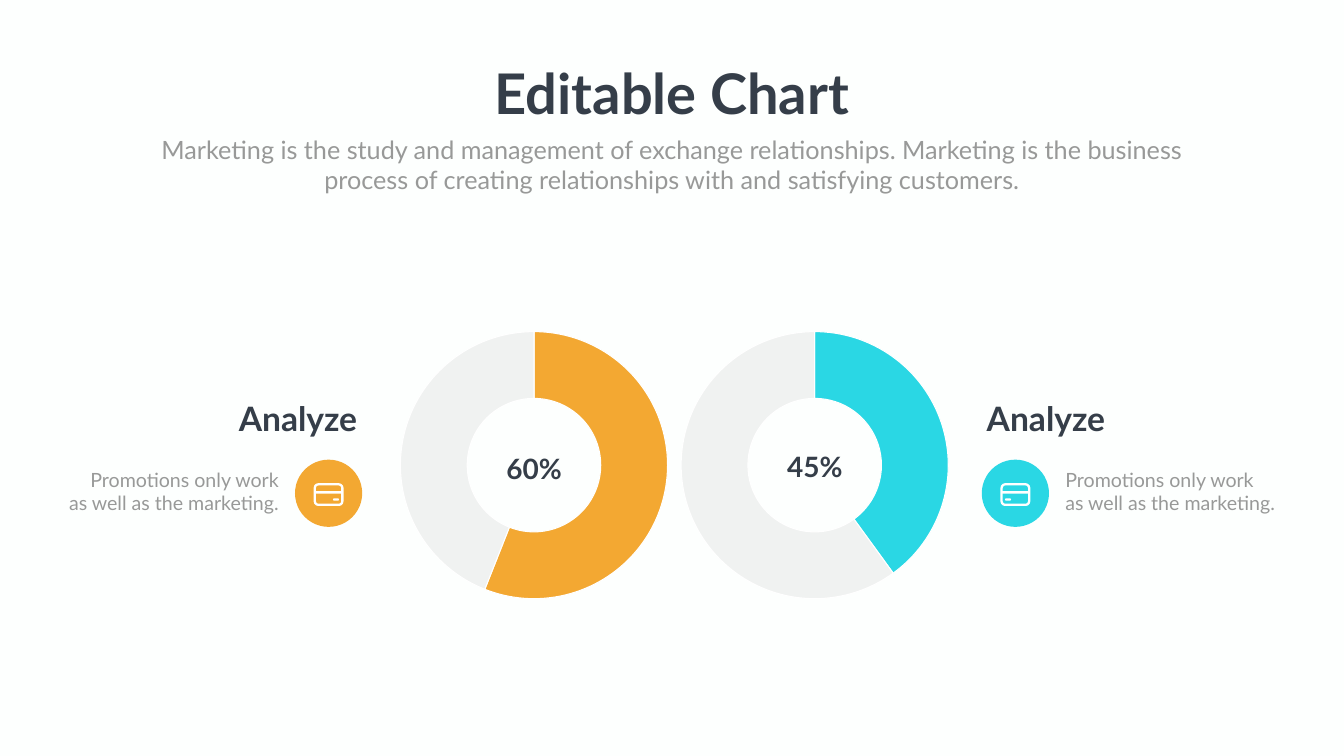
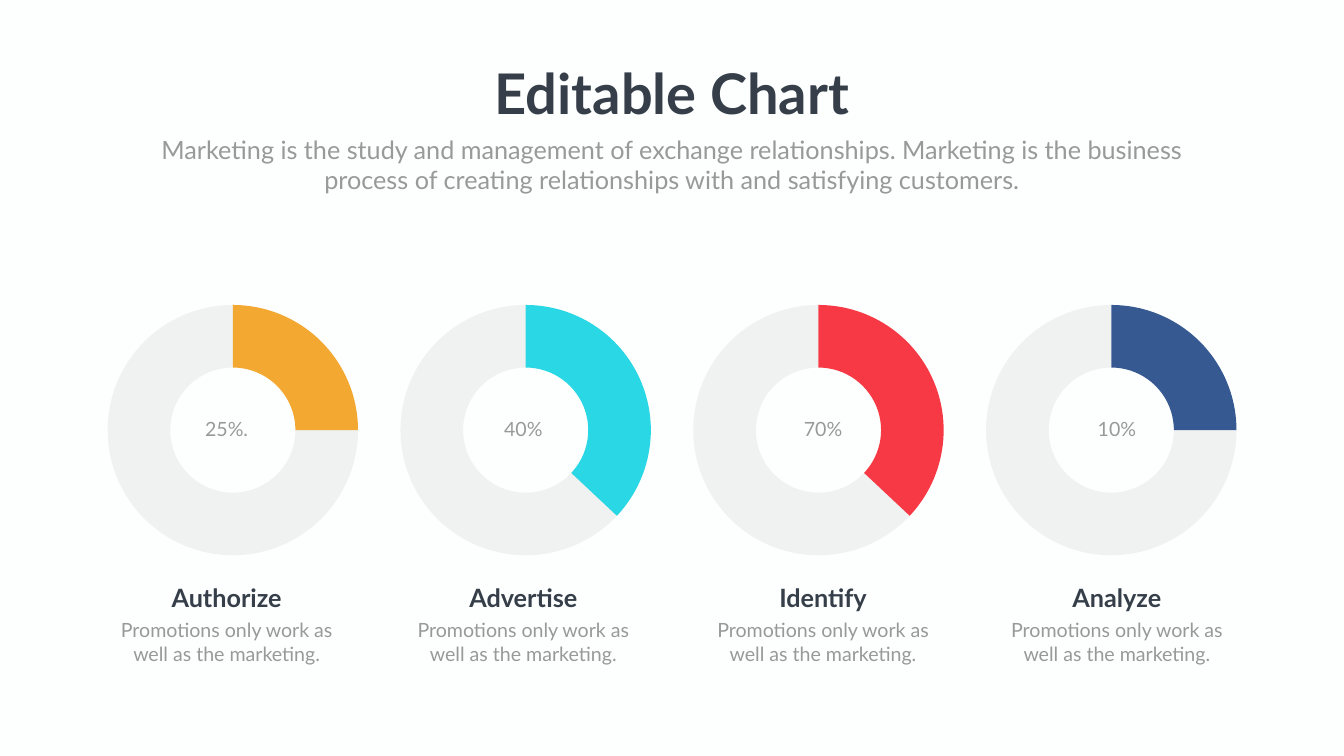
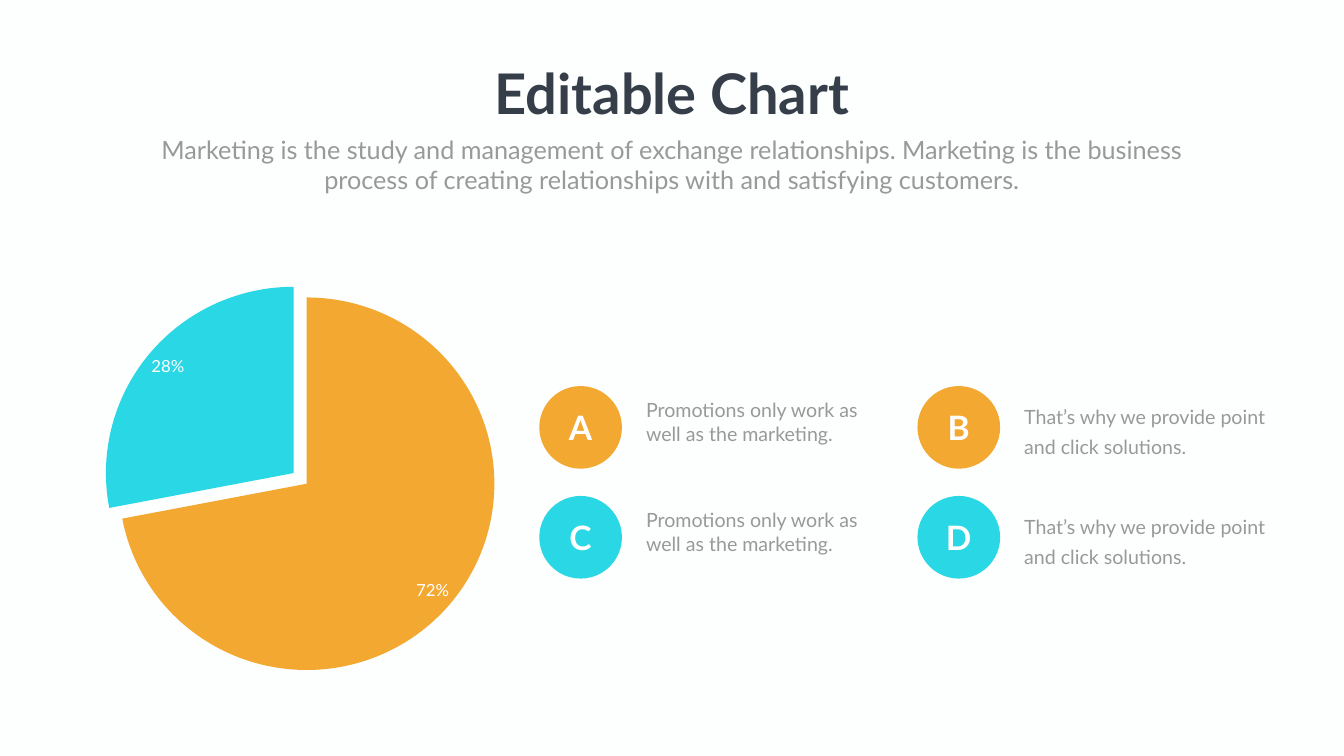
import lxml.etree
import pptx
import pptx.chart.data
import pptx.dml.color
import pptx.enum.chart
import pptx.enum.shapes
import pptx.enum.text
import pptx.oxml
import pptx.oxml.ns
import pptx.util

RGB = pptx.dml.color.RGBColor
Pt = pptx.util.Pt
Align = pptx.enum.text.PP_ALIGN
Shape = pptx.enum.shapes.MSO_SHAPE
ChartType = pptx.enum.chart.XL_CHART_TYPE
qn = pptx.oxml.ns.qn

PAPER = RGB(0xFD, 0xFF, 0xFE)
INK = RGB(0x35, 0x3E, 0x49)
MUTED = RGB(0x98, 0x99, 0x98)
TRACK = RGB(0x80, 0x80, 0x80)
WHITE = RGB(0xFF, 0xFF, 0xFF)
ORANGE = RGB(0xF3, 0xA8, 0x32)
CYAN = RGB(0x2A, 0xD7, 0xE4)
RED = RGB(0xF7, 0x39, 0x45)
BLUE = RGB(0x36, 0x59, 0x92)

FONT = "Lato"
COLUMNS = 80
ROWS = 45
TITLE = "Editable Chart"
SUBTITLE = (
    "Marketing is the study and management of exchange relationships. "
    "Marketing is the business process of creating relationships with "
    "and satisfying customers."
)
PROMOTIONS = "Promotions only work as well as the marketing."
SOLUTIONS = "That’s why we provide point and click solutions."


class Deck:
    def __init__(self):
        self.deck = pptx.Presentation()
        self.deck.slide_width = pptx.util.Inches(26.66)
        self.deck.slide_height = pptx.util.Inches(15)
        self.slide = None

    def box(self, left, top, width, height):
        column = self.deck.slide_width / COLUMNS
        row = self.deck.slide_height / ROWS
        return (round(left * column), round(top * row),
                round(width * column), round(height * row))

    def add_slide(self):
        self.slide = self.deck.slides.add_slide(self.deck.slide_layouts[6])
        background = self.slide.background.fill
        background.solid()
        background.fore_color.rgb = PAPER
        self.text(TITLE, 28.95, 3.36, 22.1, 4.35, 80, INK, True, Align.CENTER, wrap=False)
        self.text(SUBTITLE, 8.76, 7.83, 62.46, 3.93, 36, MUTED, align=Align.CENTER)

    def text(self, words, left, top, width, height, size, color,
             bold=False, align=Align.LEFT, wrap=True, spacing=None):
        frame = self.slide.shapes.add_textbox(*self.box(left, top, width, height)).text_frame
        frame.word_wrap = wrap
        frame.auto_size = pptx.enum.text.MSO_AUTO_SIZE.SHAPE_TO_FIT_TEXT
        paragraph = frame.paragraphs[0]
        paragraph.text = words
        paragraph.alignment = align
        if spacing:
            paragraph.line_spacing = Pt(spacing)
        font = paragraph.font
        font.name = FONT
        font.size = Pt(size)
        font.bold = bold
        font.color.rgb = color

    def shape(self, preset, left, top, width, height, fill=None, outline=None):
        shape = self.slide.shapes.add_shape(preset, *self.box(left, top, width, height))
        shape.shadow.inherit = False
        if fill is None:
            shape.fill.background()
        else:
            shape.fill.solid()
            shape.fill.fore_color.rgb = fill
        if outline is None:
            shape.line.fill.background()
        else:
            shape.line.color.rgb = WHITE
            shape.line.width = Pt(outline)
        return shape

    def circle(self, left, top, diameter, fill):
        self.shape(Shape.OVAL, left, top, diameter, diameter, fill)

    def card_icon(self, center, middle, mirrored):
        card = self.shape(Shape.ROUNDED_RECTANGLE, center - 0.82, middle - 0.61,
                          1.64, 1.22, outline=3.25)
        card.adjustments[0] = 0.17
        self.shape(Shape.RECTANGLE, center - 0.8, middle - 0.2, 1.6, 0.15, WHITE)
        chip_left = center + 0.26 if mirrored else center - 0.62
        chip = self.shape(Shape.ROUNDED_RECTANGLE, chip_left, middle + 0.22, 0.36, 0.14, WHITE)
        chip.adjustments[0] = 0.5

    def chart(self, kind, values, colors, left, top, width, height, fill_share, border=None,
              font_name="Calibri", font_size=10):
        data = pptx.chart.data.CategoryChartData()
        data.categories = ["1", "2"]
        data.add_series("Series 1", values)
        chart = self.slide.shapes.add_chart(
            kind, *self.box(left, top, width, height), data).chart
        chart.has_title = False
        chart.has_legend = False
        chart.font.name = font_name
        chart.font.size = Pt(font_size)
        chart.font.color.rgb = MUTED
        plot = chart.plots[0]
        plot.vary_by_categories = True
        for index, color in enumerate(colors):
            style = plot.series[0].points[index].format
            style.fill.solid()
            style.fill.fore_color.rgb = color
            if border:
                style.line.color.rgb = WHITE
                style.line.width = Pt(border)
            else:
                style.line.fill.background()
        self.fit_plot(chart, fill_share * height / width, fill_share)
        return chart

    def fit_plot(self, chart, width_share, height_share):
        area = chart.element.xpath(".//c:plotArea")[0]
        for layout in area.findall(qn("c:layout")):
            area.remove(layout)
        layout = lxml.etree.Element(qn("c:layout"))
        manual = lxml.etree.SubElement(layout, qn("c:manualLayout"))
        for tag, value in (
            ("layoutTarget", "inner"), ("xMode", "edge"), ("yMode", "edge"),
            ("x", (1 - width_share) / 2), ("y", (1 - height_share) / 2),
            ("w", width_share), ("h", height_share),
        ):
            lxml.etree.SubElement(manual, qn(f"c:{tag}")).set("val", str(value))
        area.insert(0, layout)

    def donut(self, values, color, left, top, width, height, hole, border=None):
        chart = self.chart(ChartType.DOUGHNUT, values, (color, TRACK),
                           left, top, width, height, 0.95, border)
        chart.element.xpath(".//c:holeSize")[0].set("val", str(hole))
        track = chart.element.xpath('.//c:dPt[c:idx/@val="1"]/c:spPr/a:solidFill/a:srgbClr')[0]
        lxml.etree.SubElement(track, qn("a:alpha")).set("val", "10000")

    def pie(self, values, colors, left, top, width, height, explosion):
        chart = self.chart(ChartType.PIE, values, colors, left, top, width, height, 0.96,
                           font_name=FONT, font_size=20)
        slice_style = chart.element.xpath('.//c:dPt[c:idx/@val="1"]/c:spPr')[0]
        pulled = lxml.etree.Element(qn("c:explosion"))
        pulled.set("val", str(explosion))
        slice_style.addprevious(pulled)
        plot = chart.plots[0]
        plot.has_data_labels = True
        labels = plot.data_labels
        labels.show_percentage = True
        labels.show_value = False
        labels.number_format = "0%"
        labels.number_format_is_linked = False
        labels.position = pptx.enum.chart.XL_LABEL_POSITION.INSIDE_END
        labels.font.name = FONT
        labels.font.size = Pt(24)
        labels.font.color.rgb = WHITE

    def callout(self, color, mirrored):
        def across(left, width):
            return COLUMNS - left - width if mirrored else left

        align = Align.RIGHT if mirrored else Align.LEFT
        circle_left = across(58.44, 4)
        self.circle(circle_left, 27.36, 4, color)
        self.text("Analyze", across(58.44, 13.17), 23.55, 13.17, 2.73, 48, INK, True, align)
        self.text(PROMOTIONS, across(63.12, 13.11), 27.69, 13.11, 3.12, 28, MUTED, align=align)
        self.card_icon(circle_left + 2, 29.44, mirrored)


def add_comparison(deck):
    deck.add_slide()
    for left, values, color, share, share_top in (
        (22.86, (56, 44), ORANGE, "60%", 26.73),
        (39.57, (40, 60), CYAN, "45%", 26.61),
    ):
        deck.donut(values, color, left, 19.32, 17.85, 16.74, 75, border=1.5)
        deck.text(share, left + 3.65, share_top, 10.56, 1.98, 40, INK, True, Align.CENTER)
    deck.callout(CYAN, mirrored=False)
    deck.callout(ORANGE, mirrored=True)


def add_four_steps(deck):
    deck.add_slide()
    steps = (
        ("Authorize", "25%.", (25, 75), ORANGE, 13.49),
        ("Advertise", "40%", (37, 63), CYAN, 31.15),
        ("Identify", "70%", (37, 63), RED, 48.99),
        ("Analyze", "10%", (25, 75), BLUE, 66.48),
    )
    for index, (step, share, values, color, center) in enumerate(steps):
        deck.donut(values, color, 5.49 + 17.43 * index, 17.76, 16.74, 15.69, 80)
        for words, top, width, height, size, ink, bold in (
            (step, 34.52, 9.75, 2.13, 36, INK, True),
            (PROMOTIONS, 36.65, 13.68, 3.12, 28, MUTED, False),
            (share, 24.68, 13.68, 1.71, 28, MUTED, False),
        ):
            deck.text(words, center - width / 2, top, width, height, size, ink, bold, Align.CENTER)


def add_split(deck):
    deck.add_slide()
    deck.pie((72, 28), (ORANGE, CYAN), 4.41, 17.07, 27.69, 23.28, explosion=9)
    diameter = 4.92
    for column, (letters, words, height, spacing) in enumerate((
        ("AC", PROMOTIONS, 3.12, None),
        ("BD", SOLUTIONS, 3.72, 43),
    )):
        left = 32.1 + 22.51 * column
        for row, (letter, color) in enumerate(zip(letters, (ORANGE, CYAN))):
            top = 22.98 + 6.54 * row
            deck.circle(left, top, diameter, color)
            deck.text(letter, left + (diameter - 2.97) / 2, top + (diameter - 2.73) / 2,
                      2.97, 2.73, 48, WHITE, True, Align.CENTER)
            deck.text(words, left + 6.06, top + 0.58, 15.3, height, 28, MUTED, spacing=spacing)


def main():
    deck = Deck()
    add_comparison(deck)
    add_four_steps(deck)
    add_split(deck)
    deck.deck.save("out.pptx")


if __name__ == "__main__":
    main()
